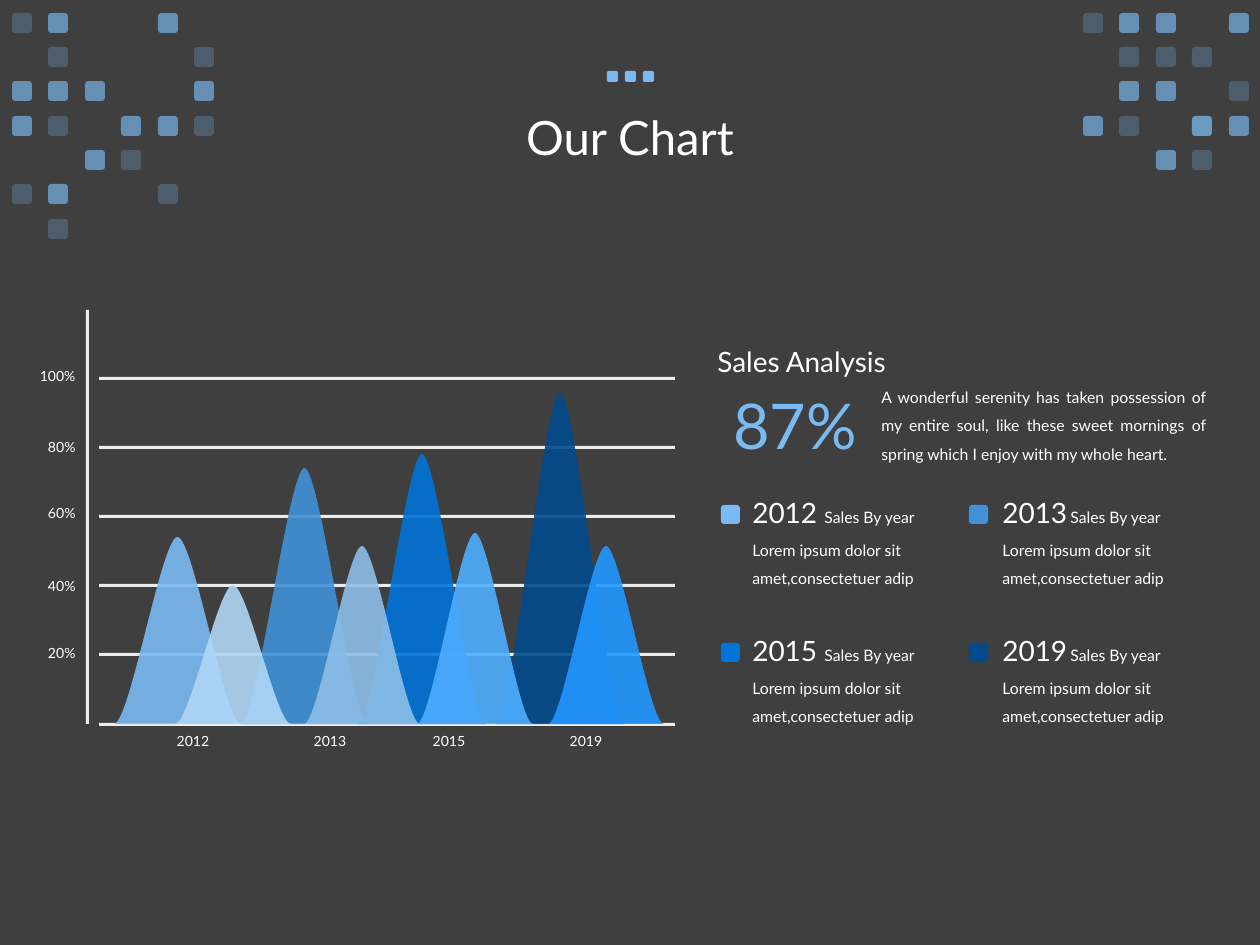
from typing import NamedTuple

from pptx import Presentation
from pptx import util as u
from pptx.dml.color import RGBColor
from pptx.enum import shapes, text
from pptx.oxml import parse_xml
from pptx.oxml.ns import nsdecls, qn

SCALE = 914400 / 126
FONT = "Lato"
WHITE, SKY = "FFFFFF", "7ABAF2"
BASE = 724
RECT = shapes.MSO_SHAPE.RECTANGLE
ROUND = shapes.MSO_SHAPE.ROUNDED_RECTANGLE
LEFT, MID, RIGHT, JUST = (text.PP_ALIGN.LEFT, text.PP_ALIGN.CENTER,
                          text.PP_ALIGN.RIGHT, text.PP_ALIGN.JUSTIFY)


class Box(NamedTuple):
    x: int
    y: int
    w: int
    h: int


class Peak(NamedTuple):
    left: int
    right: int
    top: int
    color: str


class Entry(NamedTuple):
    year: str
    color: str
    mark: int
    label: int
    note: int
    drop: int


class Tiles(NamedTuple):
    """Rows of tiles: # strong, + faint, * both, . none."""
    left: int
    rows: tuple[str, ...]


PEAKS = (
    Peak(114, 241, 537, SKY),
    Peak(496, 624, 393, "004B8D"),
    Peak(241, 368, 468, "4192D9"),
    Peak(358, 486, 454, "0074D9"),
    Peak(175, 291, 585, "AFD6F7"),
    Peak(548, 664, 546, "2297FF"),
    Peak(417, 533, 533, "4FADFF"),
    Peak(304, 420, 546, "8DBEE8"),
)
ENTRIES = (
    Entry("2012", SKY, 721, 740, 812, 0),
    Entry("2013", "4192D9", 969, 990, 1058, 0),
    Entry("2015", "0074D9", 721, 740, 812, 138),
    Entry("2019", "004B8D", 969, 990, 1058, 138),
)
TILES = (
    Tiles(12, ("+#..#.", ".+...+", "###..#", "#+.##+", "..#+..", "+#..+.", ".+....")),
    Tiles(1083, ("+##.#", ".+++.", ".##.+", "#+.*#", "..#+.")),
)
ALPHAS = {"#": (65,), "+": (25,), "*": (65, 25), ".": ()}
LEVELS = (("100%", 361), ("80%", 432), ("60%", 498), ("40%", 571), ("20%", 638))
YEARS = (("2012", 164), ("2013", 301), ("2015", 420), ("2019", 557))


def px(n: float) -> int:
    return round(n * SCALE)


def rgb(code: str) -> RGBColor:
    return RGBColor.from_string(code)


def paint(shape, color: str, alpha: int = 100) -> None:
    shape.shadow.inherit = False
    shape.line.fill.background()
    shape.fill.solid()
    shape.fill.fore_color.rgb = rgb(color)
    if alpha < 100:
        tone = shape.fill._xPr.solidFill.srgbClr
        tone.append(parse_xml(f'<a:alpha {nsdecls("a")} val="{alpha * 1000}"/>'))


def block(parent, kind, box: Box, color: str, alpha: int = 100) -> None:
    paint(parent.add_shape(kind, *map(px, box)), color, alpha)


def write(slide, words: str, box: Box, size: int, color: str = WHITE, align=LEFT,
          wrap: bool = True, grow: bool = False, lead: float = 1.0):
    frame = slide.shapes.add_textbox(*map(px, box)).text_frame
    frame.word_wrap = wrap
    frame.auto_size = (text.MSO_AUTO_SIZE.SHAPE_TO_FIT_TEXT if grow
                       else text.MSO_AUTO_SIZE.NONE)
    frame.text = words
    para = frame.paragraphs[0]
    para.alignment, para.line_spacing = align, lead
    font = para.runs[0].font
    font.name, font.size, font.color.rgb = FONT, u.Pt(size), rgb(color)
    return frame


def bend(shape) -> None:
    """Turn each three line segments of a freeform into one cubic curve."""
    lines = list(shape._element.iter(qn("a:lnTo")))
    for i in range(0, len(lines), 3):
        curve = parse_xml(f'<a:cubicBezTo {nsdecls("a")}/>')
        lines[i].addprevious(curve)
        for line in lines[i:i + 3]:
            curve.append(line[0])
            line.getparent().remove(line)


def hill(slide, peak: Peak) -> None:
    left, right, top, color = peak
    mid, pull = (left + right) / 2, (right - left) / 8
    points = ((left + pull, BASE), (mid - pull, top), (mid, top),
              (mid + pull, top), (right - pull, BASE), (right, BASE))
    pen = slide.shapes.build_freeform(px(left), px(BASE))
    pen.add_line_segments([(px(x), px(y)) for x, y in points], close=True)
    shape = pen.convert_to_shape()
    bend(shape)
    paint(shape, color, 90)


def scatter(slide, tiles: Tiles) -> None:
    group = slide.shapes.add_group_shape().shapes
    for r, row in enumerate(tiles.rows):
        for c, sign in enumerate(row):
            box = Box(tiles.left + c * 73 // 2, 13 + r * 103 // 3, 20, 20)
            for alpha in ALPHAS[sign]:
                block(group, ROUND, box, SKY, alpha)


def legend(slide, item: Entry) -> None:
    d = item.drop
    write(slide, item.year, Box(item.label, 489 + d, 107, 52), 16)
    write(slide, "Sales By year", Box(item.note, 502 + d, 140, 28), 9)
    write(slide, "Lorem ipsum dolor sit amet,consectetuer adip",
          Box(item.label, 525 + d, 207, 67), 9, grow=True, lead=1.5)
    block(slide.shapes, ROUND, Box(item.mark, 505 + d, 19, 19), item.color)


def chart(slide) -> None:
    for i in range(6):
        block(slide.shapes, RECT, Box(99, 377 + i * 346 // 5, 576, 3), WHITE, 90)
    block(slide.shapes, RECT, Box(86, 310, 3, 414), WHITE, 90)
    for peak in PEAKS:
        hill(slide, peak)
    for words, y in LEVELS:
        wide = 26 + 9 * len(words)
        write(slide, words, Box(88 - wide, y, wide, 30), 8,
              align=RIGHT, wrap=False, grow=True)
    for words, x in YEARS:
        write(slide, words, Box(x, 726, 58, 30), 8, align=MID, wrap=False, grow=True)


def main() -> None:
    deck = Presentation()
    deck.slide_width, deck.slide_height = px(1260), px(945)
    slide = deck.slides.add_slide(deck.slide_layouts[6])
    slide.background.fill.solid()
    slide.background.fill.fore_color.rgb = rgb("3F3F3F")

    title = write(slide, "Our Chart", Box(87, 49, 1086, 183), 27, align=MID, lead=0.9)
    title.vertical_anchor = text.MSO_ANCHOR.MIDDLE
    chart(slide)
    for item in ENTRIES:
        legend(slide, item)
    write(slide, "Sales Analysis", Box(705, 338, 205, 47), 16, wrap=False, grow=True)
    write(slide, "A wonderful serenity has taken possession of my entire soul, "
          "like these sweet mornings of spring which I enjoy with my whole heart.",
          Box(869, 372, 349, 95), 9, align=JUST, grow=True, lead=1.5)
    write(slide, "87%", Box(721, 380, 151, 89), 36, SKY, wrap=False, grow=True)
    for tiles in TILES:
        scatter(slide, tiles)
    dots = slide.shapes.add_group_shape().shapes
    for i in range(3):
        block(dots, ROUND, Box(607 + i * 18, 71, 11, 11), SKY)
    deck.save("out.pptx")


if __name__ == "__main__":
    main()
